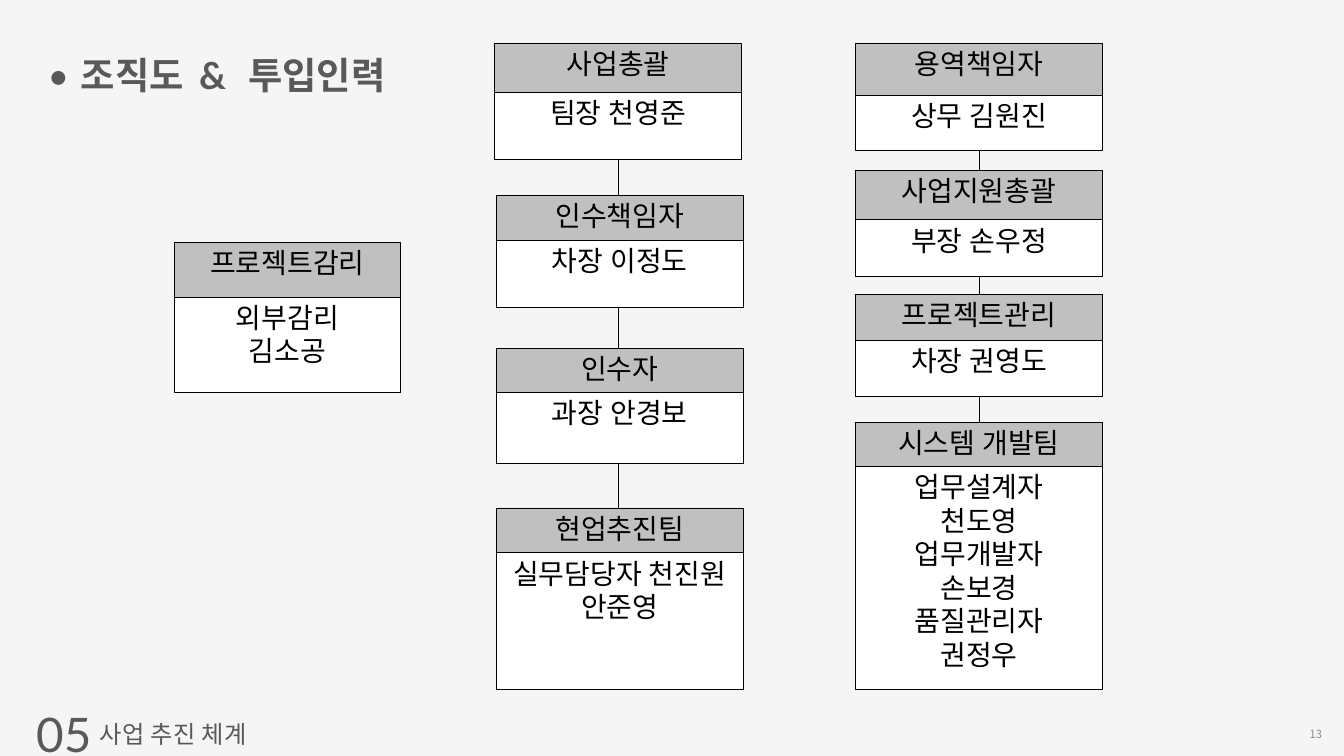
from lxml import etree
from pptx import Presentation
from pptx import util as u
from pptx.dml.color import RGBColor
from pptx.enum import shapes, text
from pptx.oxml.ns import qn

Cm, Pt = u.Cm, u.Pt
BACKGROUND = RGBColor(0xF5, 0xF5, 0xF5)
HEAD_FILL = RGBColor(0xC0, 0xC0, 0xC0)
BODY_FILL = RGBColor(0xFF, 0xFF, 0xFF)
BLACK = RGBColor(0, 0, 0)
DARK_GREY = RGBColor(0x59, 0x59, 0x59)
PAGE_GREY = RGBColor(0x8C, 0x8C, 0x8C)
LATO, NOTO = "Lato", "Noto Sans CJK KR"
ALIGN, ANCHOR = text.PP_ALIGN, text.MSO_ANCHOR

# Columns: left, width, boxes (head top, head height, body top, body height, role, members)
COLUMNS = [
    (6.6, 8.53, [
        (9.17, 4.45, 11.23, 3.61, "프로젝트감리", ["외부감리", "김소공"]),
    ]),
    (18.69, 9.35, [
        (1.65, 2.25, 3.48, 2.54, "사업총괄", ["팀장 천영준"]),
    ]),
    (18.75, 9.35, [
        (7.39, 2.11, 9.09, 2.54, "인수책임자", ["차장 이정도"]),
        (13.18, 2.4, 14.83, 2.68, "인수자", ["과장 안경보"]),
        (19.2, 1.96, 20.9, 5.16, "현업추진팀", ["실무담당자 천진원", "안준영"]),
    ]),
    (32.33, 9.35, [
        (1.65, 2.54, 3.61, 2.08, "용역책임자", ["상무 김원진"]),
        (6.43, 2.43, 8.31, 2.13, "사업지원총괄", ["부장 손우정"]),
        (11.13, 2.75, 12.88, 2.11, "프로젝트관리", ["차장 권영도"]),
        (15.98, 4.45, 17.63, 8.43, "시스템 개발팀",
         ["업무설계자", "천도영", "업무개발자", "손보경", "품질관리자", "권정우"]),
    ]),
]
# Reporting lines: x, top, bottom
LINES = [(37.01, 4.85, 21.49), (23.37, 3.94, 25.96)]


def set_attrs(obj, **values):
    for name, value in values.items():
        setattr(obj, name, value)


def add_run(p, content, size, color, font=LATO, bold=False):
    r = p.add_run()
    r.text = content
    set_attrs(r.font, size=Pt(size), name=font, bold=bold)
    r.font.color.rgb = color
    # Hangul keeps the line height of the Latin text font
    etree.SubElement(r.font._element, qn("a:ea"), typeface=LATO)
    return r


def write_lines(tf, lines, size, color, font=LATO, align=ALIGN.LEFT, anchor=ANCHOR.TOP):
    set_attrs(tf, word_wrap=True, vertical_anchor=anchor)
    for i, line in enumerate(lines):
        p = tf.add_paragraph() if i else tf.paragraphs[0]
        p.alignment = align
        add_run(p, line, size, color, font)


def add_label(s, box, content, size, color, **style):
    sp = s.shapes.add_textbox(*map(Cm, box))
    write_lines(sp.text_frame, [content], size, color, **style)


def add_box(s, box, fill, lines):
    sp = s.shapes.add_shape(shapes.MSO_SHAPE.RECTANGLE, *map(Cm, box))
    sp.shadow.inherit = False
    sp.fill.solid()
    sp.fill.fore_color.rgb = fill
    sp.line.color.rgb = BLACK
    sp.line.width = Pt(0.75)
    write_lines(sp.text_frame, lines, 30, BLACK, NOTO, ALIGN.CENTER)


def add_line(s, x, top, bottom):
    line = s.shapes.add_connector(shapes.MSO_CONNECTOR.STRAIGHT,
                                  Cm(x), Cm(top), Cm(x), Cm(bottom))
    line.line.color.rgb = BLACK
    line.line.width = Pt(0.75)
    etree.SubElement(line._element.spPr, qn("a:effectLst"))


def add_title(s):
    sp = s.shapes.title
    set_attrs(sp, left=Cm(1.12), top=Cm(0.84), width=Cm(49.68), height=Cm(2.69))
    tf = sp.text_frame
    set_attrs(tf, word_wrap=True, vertical_anchor=ANCHOR.TOP,
              auto_size=text.MSO_AUTO_SIZE.NONE)
    p = tf.paragraphs[0]
    set_attrs(p, alignment=ALIGN.LEFT, line_spacing=1.6)
    # Hanging bullet
    pPr = p._p.get_or_add_pPr()
    pPr.set("marL", str(Cm(1.68)))
    pPr.set("indent", str(-Cm(1.25)))
    etree.SubElement(pPr, qn("a:buFont"), typeface=LATO)
    etree.SubElement(pPr, qn("a:buChar"), char="•")
    # The ampersand is set with wider letter spacing
    for part, spacing in (("조직도", 0), (" & ", 700), ("투입인력", 0)):
        r = add_run(p, part, 40, DARK_GREY, bold=True)
        r.font._element.set("spc", str(spacing))


def main():
    prs = Presentation()
    set_attrs(prs, slide_width=Cm(50.8), slide_height=Cm(28.58))
    s = prs.slides.add_slide(prs.slide_layouts[5])
    s.background.fill.solid()
    s.background.fill.fore_color.rgb = BACKGROUND

    # Section footer and title
    add_label(s, (1.12, 26.54, 2.95, 2.44), "05", 51, DARK_GREY)
    add_label(s, (3.53, 27.08, 19.89, 1.37), "사업 추진 체계", 26, DARK_GREY)
    add_title(s)

    # Organisation chart: lines lie behind the boxes
    for line in LINES:
        add_line(s, *line)
    for left, width, boxes in COLUMNS:
        for head_top, head_h, body_top, body_h, role, members in boxes:
            add_box(s, (left, head_top, width, head_h), HEAD_FILL, [role])
            add_box(s, (left, body_top, width, body_h), BODY_FILL, members)

    # Page number
    add_label(s, (44.3, 27.23, 5.92, 1.02), "13", 12, PAGE_GREY,
              font=NOTO, align=ALIGN.RIGHT, anchor=ANCHOR.MIDDLE)
    prs.save("out.pptx")


if __name__ == "__main__":
    main()
